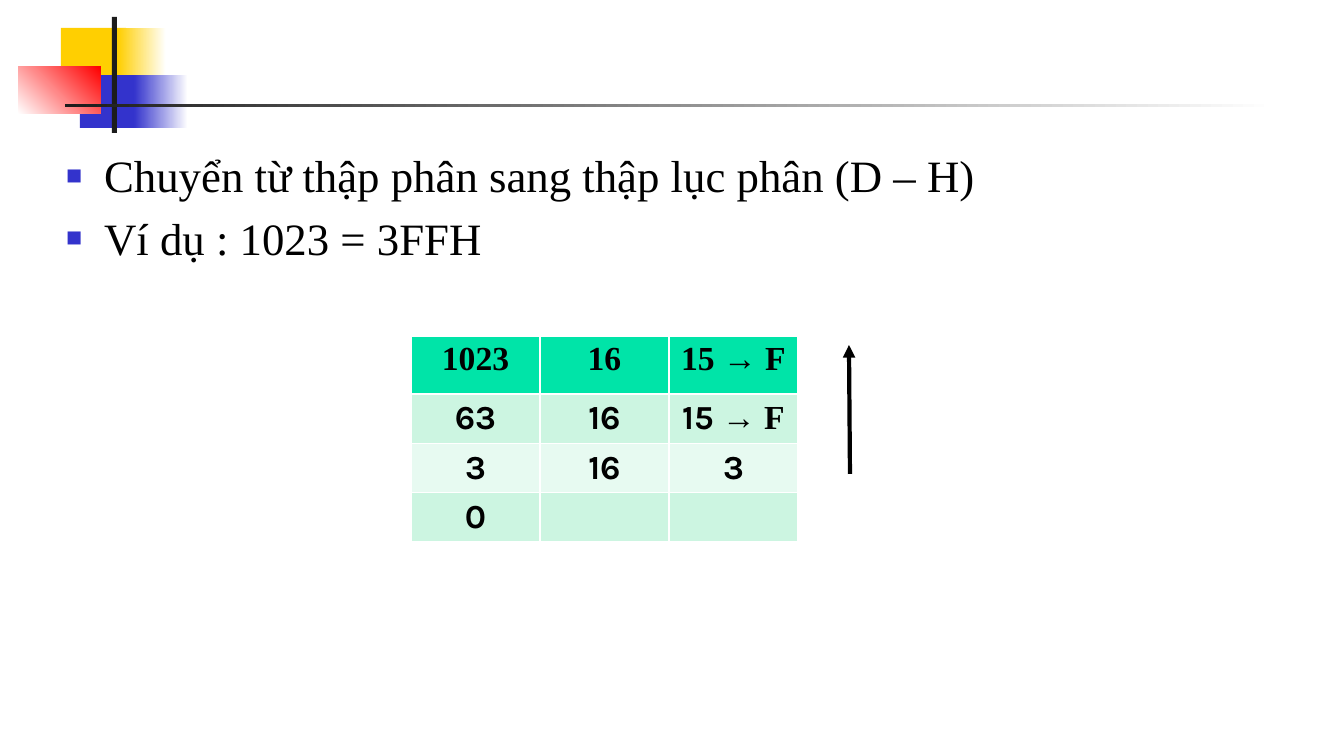
from lxml import etree
from pptx import Presentation, util as u
from pptx.dml.color import RGBColor
from pptx.enum import shapes, text
from pptx.oxml.ns import qn

PX = 9071


def paint(color, value):
    color.rgb = RGBColor.from_string(value)


def style(font, face, size):
    font.name, font.size = face, u.Pt(size)
    paint(font.color, "000000")


deck = Presentation()
deck.slide_width, deck.slide_height = 1344 * PX, 756 * PX
slide = deck.slides.add_slide(deck.slide_layouts[1])
title = slide.shapes.title.element
title.getparent().remove(title)
body = slide.placeholders[1]

blocks = [
    (61, 28, 65, 52, ["FFCF01"], 0),
    (118, 28, 48, 52, ["FFCF01", "FFFFFF"], 0),
    (80, 75, 62, 53, ["3333CC"], 0),
    (134, 75, 54, 53, ["3333CC", "FFFFFF"], 0),
    (18, 67, 83, 47, ["FFFFFF", "FF0000"], 45),
    (112, 17, 5, 116, ["1C1C1C"], 0),
    (65, 104, 1210, 3, ["1C1C1C", "FFFFFF"], 0),
]
for left, top, width, height, tints, angle in blocks:
    block = slide.shapes.add_shape(
        shapes.MSO_SHAPE.RECTANGLE, left * PX, top * PX, width * PX, height * PX)
    block.shadow.inherit = False
    block.line.fill.background()
    if len(tints) == 1:
        block.fill.solid()
        paint(block.fill.fore_color, tints[0])
    else:
        block.fill.gradient()
        block.fill.gradient_angle = angle
        for stop, tint in zip(block.fill.gradient_stops, tints):
            paint(stop.color, tint)

body.left, body.top, body.width, body.height = 56 * PX, 143 * PX, 1260 * PX, 533 * PX
frame = body.text_frame
frame.word_wrap = True
frame.auto_size = text.MSO_AUTO_SIZE.NONE
frame.text = "Chuyển từ thập phân sang thập lục phân (D – H)\nVí dụ : 1023 = 3FFH"
for row, para in enumerate(frame.paragraphs):
    props = para._p.get_or_add_pPr()
    props.set("marL", str(38 * PX))
    props.set("indent", str(-38 * PX))
    tint = etree.SubElement(props, qn("a:buClr"))
    etree.SubElement(tint, qn("a:srgbClr"), val="3333CC")
    etree.SubElement(props, qn("a:buSzPct"), val="60000")
    etree.SubElement(props, qn("a:buChar"), char="■")
    para.space_before = u.Pt(6.4 if row else 0)
    style(para.font, "Times New Roman", 32)

rows = [
    ["1023", "16", "15 → F"],
    ["63", "16", "15 "],
    ["3", "16", "3"],
    ["0", "", ""],
]
fills = ["00E4A8", "CCF5E1", "E7FAF1", "CCF5E1"]
table = slide.shapes.add_table(4, 3, 411 * PX, 336 * PX, 387 * PX, 205 * PX).table
for row, words in enumerate(rows):
    table.rows[row].height = (49 if row else 58) * PX
    for col, word in enumerate(words):
        cell = table.cell(row, col)
        cell.fill.solid()
        paint(cell.fill.fore_color, fills[row])
        para = cell.text_frame.paragraphs[0]
        para.alignment = text.PP_ALIGN.CENTER
        style(para.font, "Karla" if row else "Times New Roman", 24)
        para.font.bold = True
        if word:
            para.add_run().text = word
tail = table.cell(1, 2).text_frame.paragraphs[0].add_run()
tail.text = "→ F"
tail.font.name = "Times New Roman"

arrow = slide.shapes.add_connector(
    shapes.MSO_CONNECTOR.STRAIGHT, 850 * PX, 474 * PX, 849 * PX, 345 * PX)
arrow.line.width = u.Pt(3)
arrow.line.fill.solid()
paint(arrow.line.fill.fore_color, "000000")
etree.SubElement(arrow.line._get_or_add_ln(), qn("a:tailEnd"), type="triangle")
etree.SubElement(arrow.element.spPr, qn("a:effectLst"))

deck.save("out.pptx")
